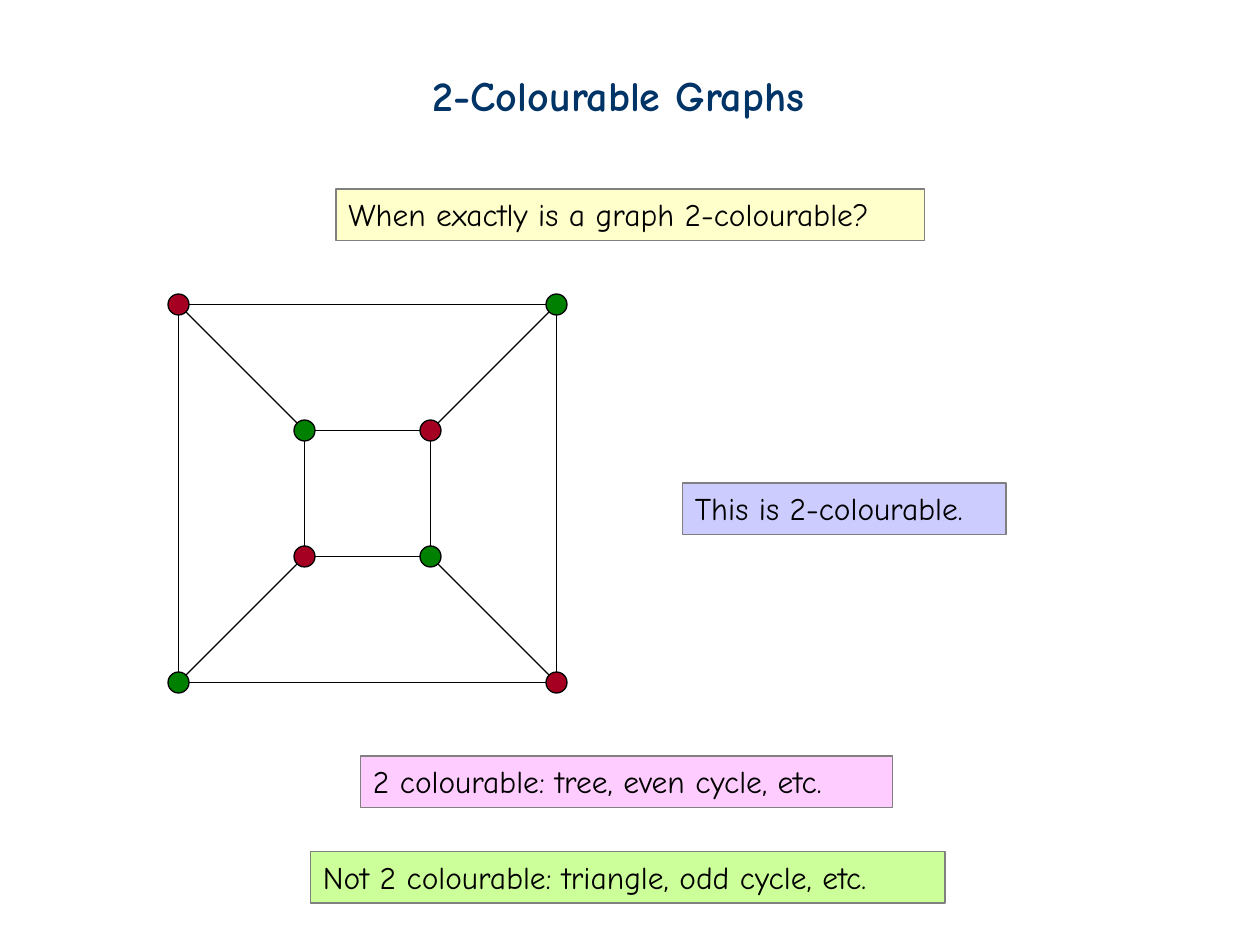
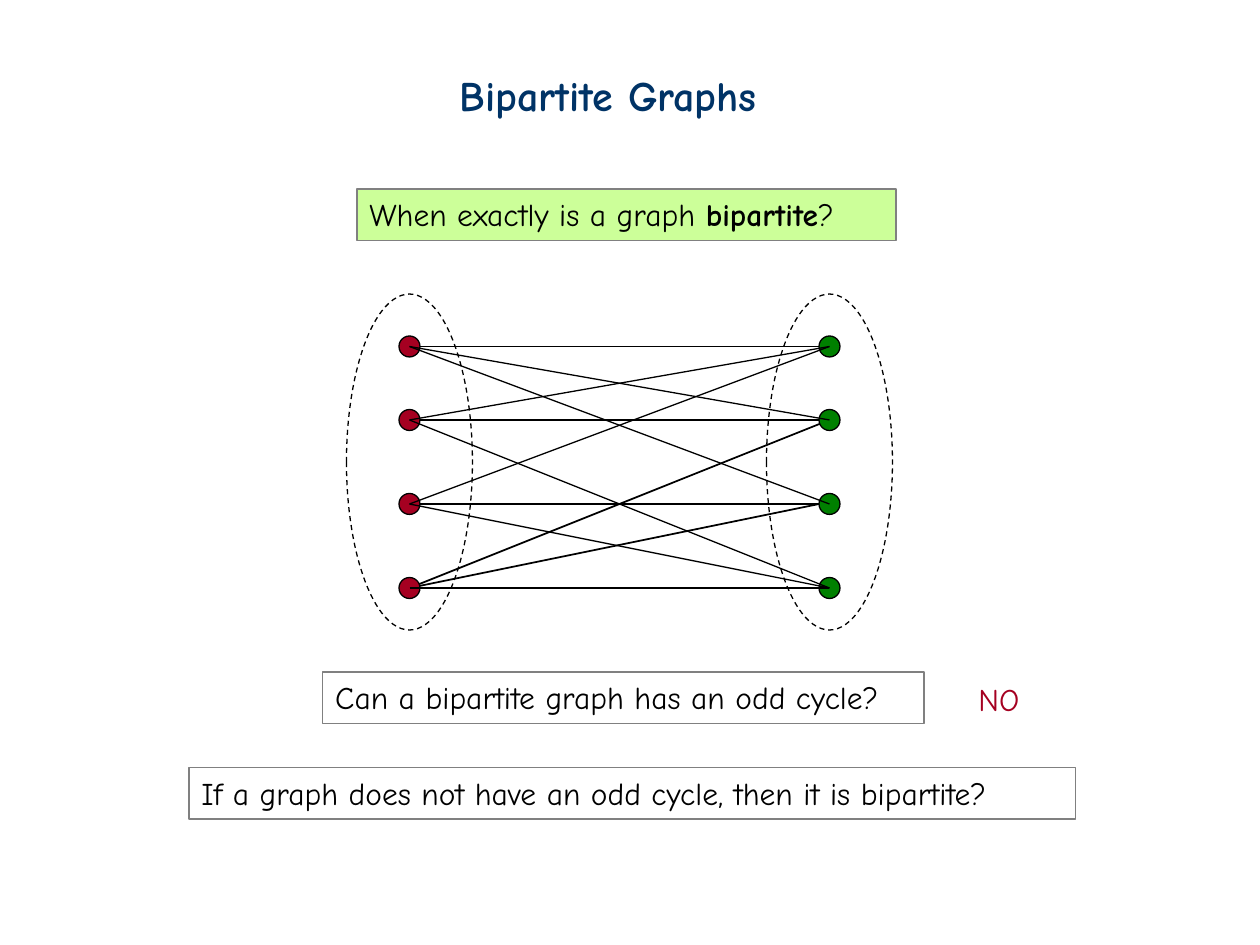
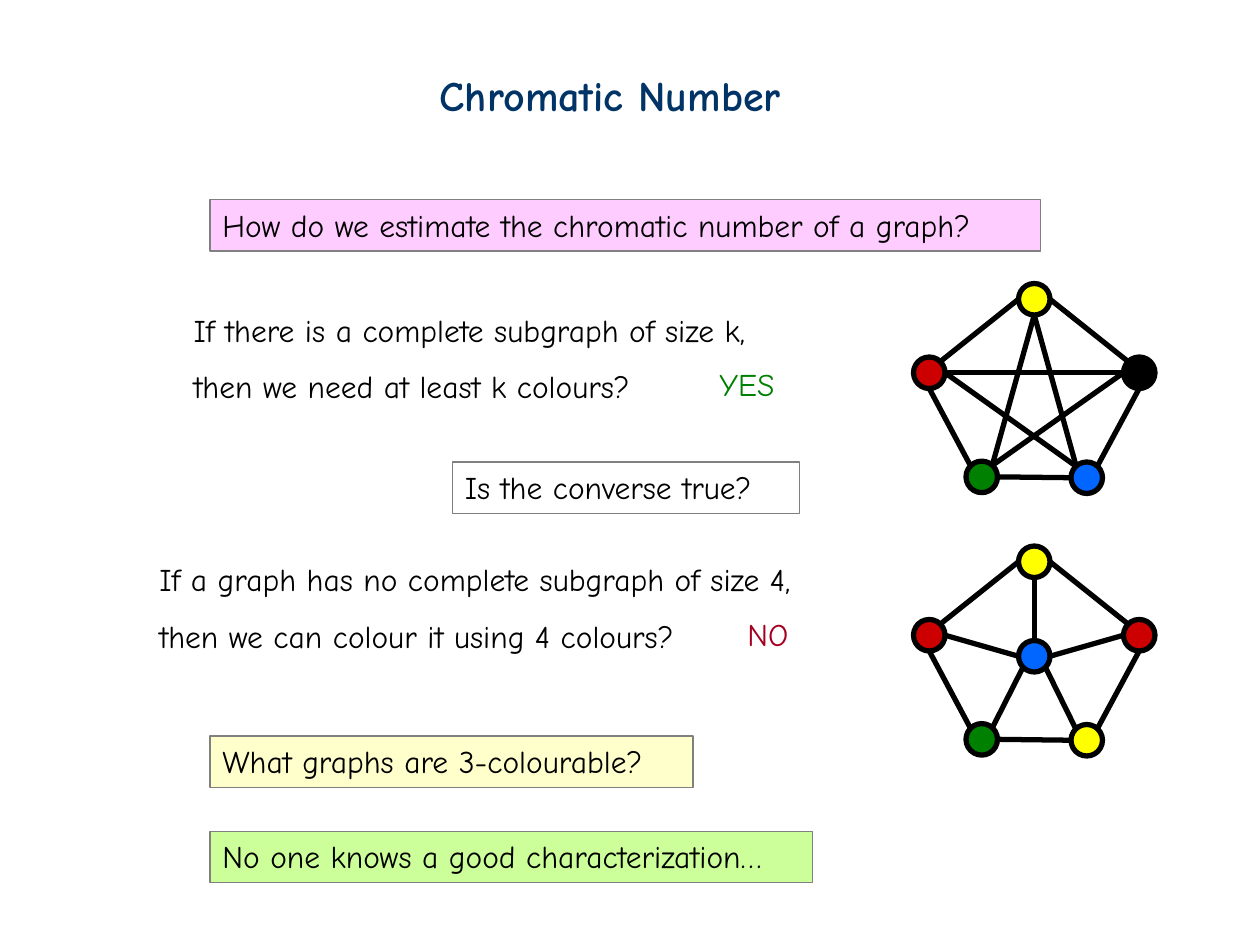
from lxml.etree import SubElement
from pptx import Presentation
from pptx.dml.color import RGBColor
from pptx.enum.dml import MSO_LINE
from pptx.enum.shapes import MSO_CONNECTOR, MSO_SHAPE
from pptx.enum.text import MSO_ANCHOR, MSO_AUTO_SIZE, PP_ALIGN
from pptx.oxml.ns import qn
from pptx.util import Pt

FONT = "Comic Neue"
COLOURS = {
    "title": "003366", "black": "000000", "border": "808080",
    "cream": "FFFFCC", "lilac": "CCCCFF", "pink": "FFCCFF", "lime": "CCFF99",
    "crimson": "A50021", "green": "008000", "red": "CC0000",
    "yellow": "FFFF00", "blue": "0066FF",
}
RGB = {name: RGBColor.from_string(value) for name, value in COLOURS.items()}


def add_edge(shapes, start, end, weight=0.75):
    edge = shapes.add_connector(
        MSO_CONNECTOR.STRAIGHT, *[Pt(value) for value in (*start, *end)])
    edge.line.color.rgb = RGB["black"]
    edge.line.width = Pt(weight)
    SubElement(edge._element.spPr, qn("a:effectLst"))


def add_node(shapes, centre, colour, size=12, weight=0.75):
    x, y = centre
    node = shapes.add_shape(
        MSO_SHAPE.OVAL, Pt(x - size / 2), Pt(y - size / 2), Pt(size), Pt(size))
    node.shadow.inherit = False
    node.fill.solid()
    node.fill.fore_color.rgb = RGB[colour]
    node.line.color.rgb = RGB["black"]
    node.line.width = Pt(weight)


presentation = Presentation()
presentation.slide_width = Pt(720)
presentation.slide_height = Pt(540)

slides = []
for heading, left, width in [
    ("2-Colourable Graphs", 240, 252),
    ("Bipartite Graphs", 255.5, 207),
    ("Chromatic Number", 244, 230),
]:
    slide = presentation.slides.add_slide(presentation.slide_layouts[5])
    slides.append(slide)
    title = slide.shapes.title
    title.left, title.top, title.width, title.height = Pt(left), Pt(36), Pt(width), Pt(36)
    frame = title.text_frame
    frame.auto_size = MSO_AUTO_SIZE.NONE
    frame.vertical_anchor = MSO_ANCHOR.TOP
    frame.word_wrap = True
    frame.paragraphs[0].alignment = PP_ALIGN.LEFT
    run = frame.paragraphs[0].add_run()
    run.text = heading
    run.font.name = FONT
    run.font.size = Pt(24)
    run.font.bold = True
    run.font.color.rgb = RGB["title"]

colourable, bipartite, chromatic = slides

outer = [(102, 174), (318, 174), (318, 390), (102, 390)]
inner = [(174, 246), (246, 246), (246, 318), (174, 318)]
for corner in range(4):
    following = (corner + 1) % 4
    add_edge(colourable.shapes, outer[corner], outer[following])
    add_edge(colourable.shapes, inner[corner], inner[following])
    add_edge(colourable.shapes, outer[corner], inner[corner])
for corner in range(4):
    pair = ("crimson", "green") if corner % 2 == 0 else ("green", "crimson")
    add_node(colourable.shapes, outer[corner], pair[0])
    add_node(colourable.shapes, inner[corner], pair[1])

LEFT_X, RIGHT_X = 234, 474
rows = [198, 240, 288, 336]
heavy_edges = [(0, 0, 480), (1, 1, RIGHT_X), (3, 1, RIGHT_X), (2, 2, 468), (3, 2, 468)]
light_edges = [(0, 1), (0, 2), (1, 0), (1, 3), (2, 0), (2, 3), (3, 3)]
for source, target, end_x in heavy_edges:
    add_edge(bipartite.shapes, (LEFT_X, rows[source]), (end_x, rows[target]), 1)
for x, colour in [(LEFT_X, "crimson"), (RIGHT_X, "green")]:
    for y in rows:
        add_node(bipartite.shapes, (x, y), colour)
    part = bipartite.shapes.add_shape(MSO_SHAPE.OVAL, Pt(x - 36), Pt(168), Pt(72), Pt(192))
    part.shadow.inherit = False
    part.fill.background()
    part.line.color.rgb = RGB["black"]
    part.line.width = Pt(0.75)
    part.line.dash_style = MSO_LINE.DASH
for source, target in light_edges:
    add_edge(bipartite.shapes, (LEFT_X, rows[source]), (RIGHT_X, rows[target]))

pentagon = [(591, 171), (651, 213), (621, 273), (561, 272.5), (531, 213)]
hub = (591, 225)
rim = [
    ((570, 272.5), (612, 273)), ((600, 171), (644.5, 206.5)),
    ((651, 222), (627, 266.5)), ((582, 171), (537.5, 206.5)),
    ((531, 222), (554.5, 266)),
]
star = [
    ((591, 180), (615, 266.5)), ((591, 180), (567, 266)),
    ((540, 213), (642, 213)), ((615, 266.5), (540, 213)),
    ((567, 266), (642, 213)),
]
spokes = [
    ((591, 180), (591, 216)), ((600, 225), (642, 213)),
    ((597.5, 231.5), (615, 267)), ((584.5, 231.5), (567, 266)),
    ((582, 225), (540, 213)),
]
for drop, vertices, node_colours, chords in [
    (150, pentagon + [hub], ["yellow", "red", "yellow", "green", "red", "blue"], spokes),
    (0, pentagon, ["yellow", "black", "blue", "green", "red"], star),
]:
    graph = chromatic.shapes.add_group_shape().shapes
    for (x, y), colour in zip(vertices, node_colours):
        add_node(graph, (x, y + drop), colour, 18, 3)
    for (x1, y1), (x2, y2) in rim + chords:
        add_edge(graph, (x1, y1 + drop), (x2, y2 + drop), 3)

boxed_statements = [
    (colourable, 192, 108, 336.5, "cream", ["When exactly is a graph 2-colourable?"]),
    (colourable, 390, 276, 185, "lilac", ["This is 2-colourable."]),
    (colourable, 206, 432, 304, "pink", ["2 colourable: tree, even cycle, etc."]),
    (colourable, 177.5, 486.5, 362.5, "lime", ["Not 2 colourable: triangle, odd cycle, etc."]),
    (bipartite, 204, 108, 308, "lime", ["When exactly is a graph ", "bipartite", "?"]),
    (bipartite, 184.5, 384, 343.5, None, ["Can a bipartite graph has an odd cycle?"]),
    (bipartite, 108, 438.5, 506.5, None,
     ["If a graph does not have an odd cycle, then it is bipartite?"]),
    (chromatic, 120, 114, 474.5, "pink",
     ["How do we estimate the chromatic number of a graph?"]),
    (chromatic, 258.5, 264, 198.5, None, ["Is the converse true?"]),
    (chromatic, 120, 420.5, 276, "cream", ["What graphs are 3-colourable?"]),
    (chromatic, 120, 475, 344.5, "lime", ["No one knows a good characterization…"]),
]
plain_statements = [
    (bipartite, 552, 385, 43.5, 29, "crimson", [["NO"]]),
    (chromatic, 103.5, 174, 370, 61, "black",
     [["If there is a complete subgraph of size k,"], ["then we need at least k colours?"]]),
    (chromatic, 404, 205, 50, 29, "green", [["YES"]]),
    (chromatic, 84, 316.5, 410.5, 61, "black",
     [["If a graph has no complete subgraph of size 4,"],
      ["then we can colour it using 4 colours?"]]),
    (chromatic, 420, 348, 43.5, 29, "crimson", [["NO"]]),
]

statements = []
for slide, left, top, width, fill, runs in boxed_statements:
    box = slide.shapes.add_shape(
        MSO_SHAPE.RECTANGLE, Pt(left), Pt(top), Pt(width), Pt(29.5))
    box.shadow.inherit = False
    if fill:
        box.fill.solid()
        box.fill.fore_color.rgb = RGB[fill]
    else:
        box.fill.background()
    box.line.color.rgb = RGB["border"]
    box.line.width = Pt(0.75)
    statements.append((box, "black", [runs]))
for slide, left, top, width, height, colour, lines in plain_statements:
    box = slide.shapes.add_textbox(Pt(left), Pt(top), Pt(width), Pt(height))
    statements.append((box, colour, lines))

for box, colour, lines in statements:
    frame = box.text_frame
    frame.word_wrap = True
    frame.vertical_anchor = MSO_ANCHOR.TOP
    for number, runs in enumerate(lines):
        paragraph = frame.add_paragraph() if number else frame.paragraphs[0]
        paragraph.alignment = PP_ALIGN.LEFT
        if number:
            paragraph.line_spacing = 1.5
        for position, words in enumerate(runs):
            run = paragraph.add_run()
            run.text = words
            run.font.name = FONT
            run.font.size = Pt(18)
            run.font.bold = position % 2 == 1
            run.font.color.rgb = RGB[colour]

presentation.save("out.pptx")
